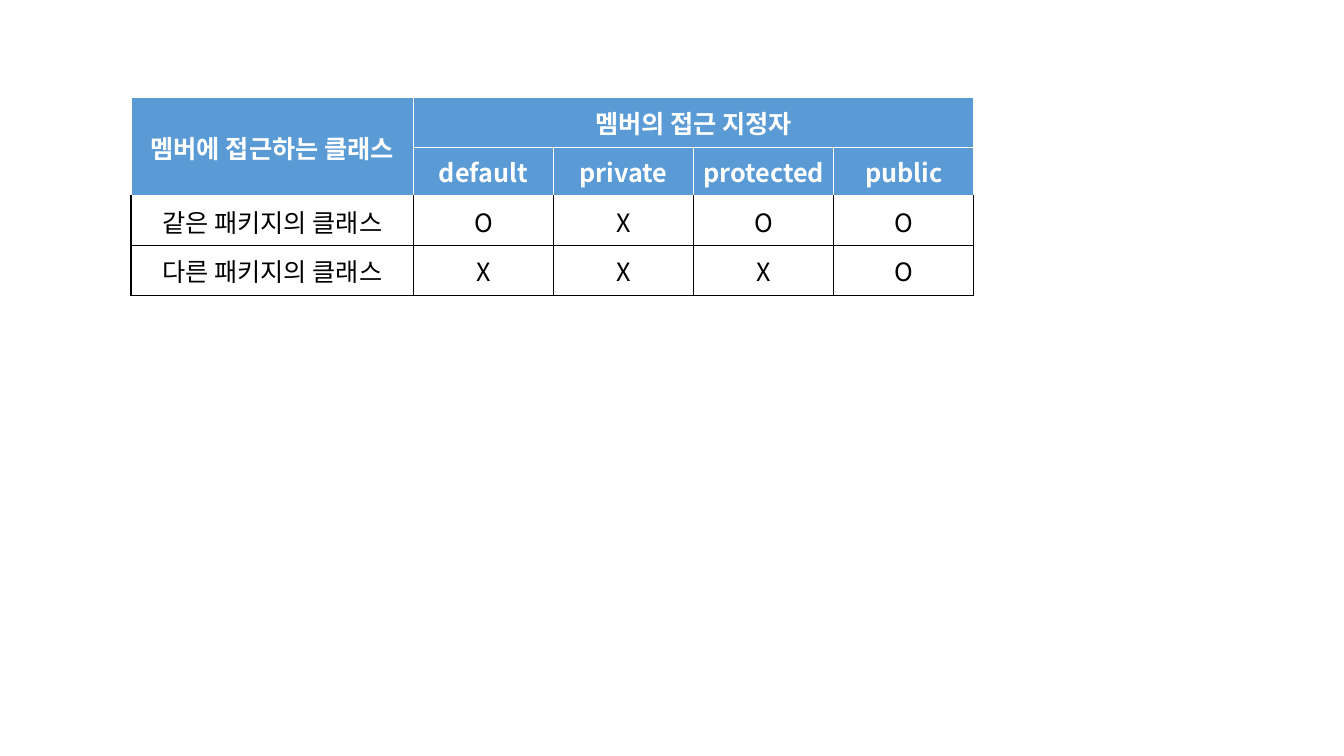
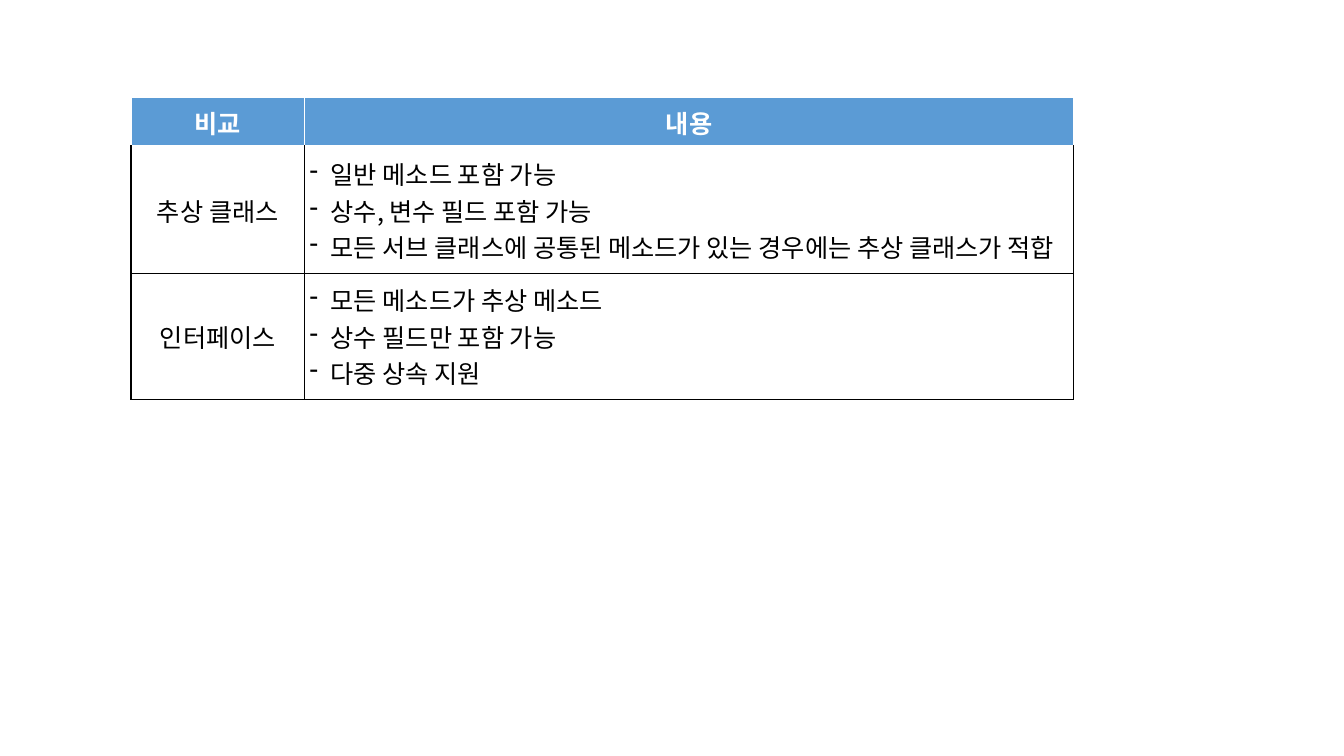
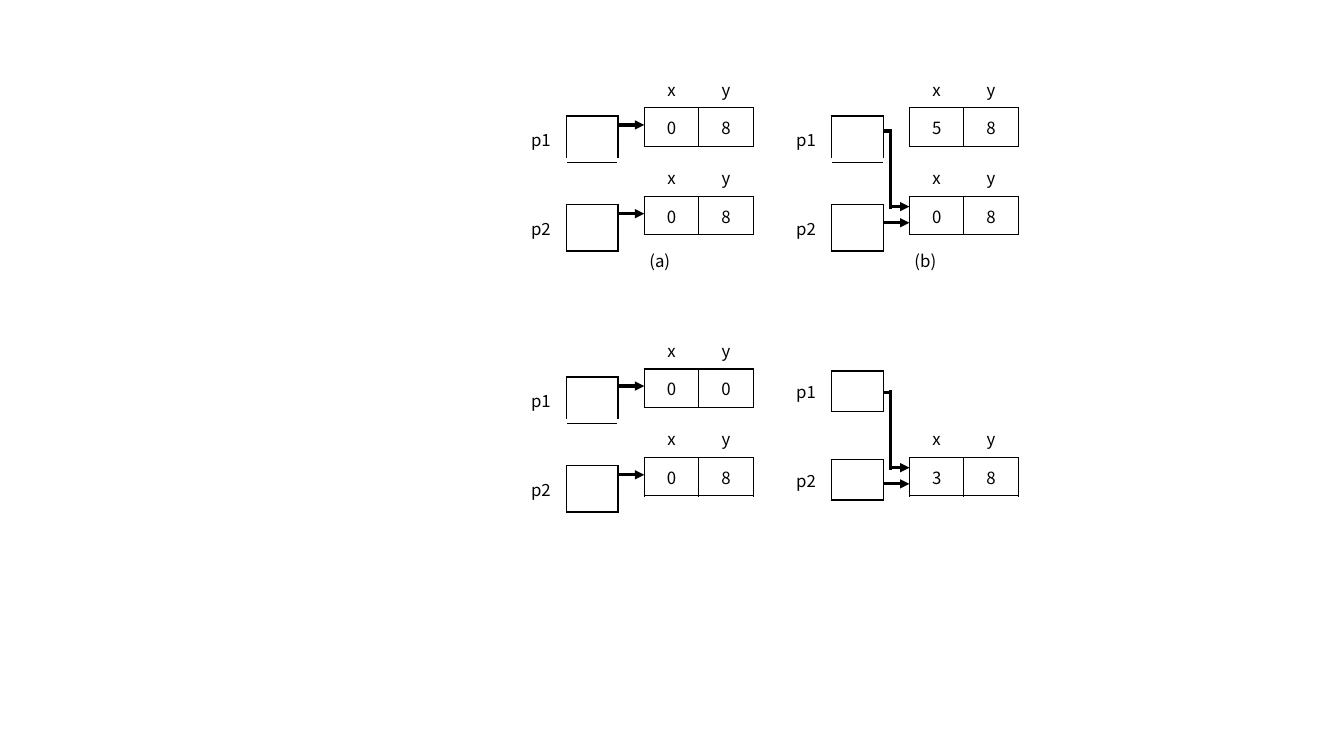
import pptx
import pptx.dml.color
import pptx.enum.shapes
import pptx.enum.text
import pptx.oxml.ns
import pptx.util
from lxml import etree

RGB = pptx.dml.color.RGBColor
BLACK = RGB(0x00, 0x00, 0x00)
WHITE = RGB(0xFF, 0xFF, 0xFF)
BLUE = RGB(0x5B, 0x9B, 0xD5)
FONT = "Noto Sans CJK KR"
CENTER = pptx.enum.text.PP_ALIGN.CENTER
LEFT = pptx.enum.text.PP_ALIGN.LEFT
MIDDLE = pptx.enum.text.MSO_ANCHOR.MIDDLE
qn = pptx.oxml.ns.qn


def px(n):
    """Length in EMU at 100 px to the inch."""
    return pptx.util.Emu(n * 9144)


class Deck:
    def __init__(self):
        self.prs = pptx.Presentation()
        self.prs.slide_width, self.prs.slide_height = px(1333), px(750)

    def new_slide(self):
        self.s = self.prs.slides.add_slide(self.prs.slide_layouts[6])

    def style(self, p, size, color=BLACK, bold=False, align=CENTER):
        p.alignment = align
        p.font.size = pptx.util.Pt(size)
        p.font.bold = bold
        p.font.color.rgb = color
        p.font.name = FONT
        etree.SubElement(p._p.pPr.find(qn("a:defRPr")), qn("a:ea"), typeface=FONT)

    def bullet(self, p):
        pPr = p._p.get_or_add_pPr()
        pPr.set("marL", str(px(26)))
        pPr.set("indent", str(-px(21)))
        pPr.insert(0, etree.Element(qn("a:buChar"), char="-"))

    def border(self, cell, **sides):
        """Draw borders; each side L, R, T or B is given as (colour, points)."""
        tcPr = cell._tc.get_or_add_tcPr()
        for side in "LRTB":
            if side in sides:
                color, width = sides[side]
                ln = etree.SubElement(tcPr, qn("a:ln" + side), w=str(pptx.util.Pt(width)))
                fill = etree.SubElement(ln, qn("a:solidFill"))
                etree.SubElement(fill, qn("a:srgbClr"), val=str(color))

    def box(self, cell, color=BLACK, **other):
        self.border(cell, **{**dict.fromkeys("LRTB", (color, 1)), **other})

    def table(self, x, y, cols, rows):
        t = self.s.shapes.add_table(len(rows), len(cols), px(x), px(y),
                                    px(sum(cols)), px(sum(rows))).table
        t.horz_banding = False
        for col, w in zip(t.columns, cols):
            col.width = px(w)
        for row, h in zip(t.rows, rows):
            row.height = px(h)
        for cell in t.iter_cells():
            cell.margin_left = cell.margin_right = 0
            cell.margin_top = cell.margin_bottom = 0
            cell.vertical_anchor = MIDDLE
        return t

    def text_table(self, cols, rows, texts, heads=1):
        """Table with blue head rows; a list as a cell's text becomes bullets."""
        t = self.table(130, 97, cols, rows)
        for i, line in enumerate(texts):
            for j, text in enumerate(line):
                cell, head = t.cell(i, j), i < heads
                listed = isinstance(text, list)
                cell.text = "\n".join(text) if listed else text
                for p in cell.text_frame.paragraphs:
                    self.style(p, 18, WHITE if head else BLACK, head,
                               LEFT if listed else CENTER)
                    if listed:
                        self.bullet(p)
                if head:
                    self.box(cell, WHITE)
                elif i == heads:
                    self.box(cell, T=(WHITE, 3))
                else:
                    self.box(cell)
                cell.fill.solid()
                cell.fill.fore_color.rgb = BLUE if head else WHITE
        return t

    def diagram_table(self, x, y, cols, row, texts, boxed):
        """Two rows without fill; boxed lists the framed columns of the second."""
        t = self.table(x, y, cols, [row, row])
        t.first_row = False
        for i, line in enumerate(texts):
            for j, text in enumerate(line):
                cell = t.cell(i, j)
                cell.text = text
                self.style(cell.text_frame.paragraphs[0], 12)
                if j in boxed:
                    if i:
                        self.box(cell)
                    else:
                        self.border(cell, B=(BLACK, 1))
                elif i:
                    self.border(cell, R=(BLACK, 1))
                cell.fill.background()

    def point(self, x, y, values):
        self.diagram_table(x, y, [54, 54], 38, ["xy", values], (0, 1))

    def pointer(self, x, y, name, row):
        self.diagram_table(x, y, [51, 51], row, [("", ""), (name, "")], (1,))

    def line(self, x1, y1, x2, y2, arrow=False):
        c = self.s.shapes.add_connector(pptx.enum.shapes.MSO_CONNECTOR.STRAIGHT,
                                        px(x1), px(y1), px(x2), px(y2))
        c.line.color.rgb = BLACK
        c.line.width = pptx.util.Pt(2.25)
        if arrow:
            etree.SubElement(c.line._get_or_add_ln(), qn("a:tailEnd"), type="triangle")
        etree.SubElement(c._element.spPr, qn("a:effectLst"))

    def label(self, x, y, text):
        tf = self.s.shapes.add_textbox(px(x), px(y), px(32), px(29)).text_frame
        tf.margin_left = tf.margin_right = tf.margin_top = tf.margin_bottom = px(5)
        tf.word_wrap = False
        tf.auto_size = pptx.enum.text.MSO_AUTO_SIZE.SHAPE_TO_FIT_TEXT
        tf.text = text
        self.style(tf.paragraphs[0], 12, align=LEFT)

    def references(self, x, y, first, second, row=46, shared=False):
        """p1 and p2 with their points; shared makes both refer to the second."""
        for name, values, top in (("p1", first, y), ("p2", second, y + 88)):
            if values:
                self.point(x + 128, top, values)
            self.pointer(x, top, name, row)
            if not shared:
                self.line(x + 102, top + 55, x + 128, top + 55, arrow=True)
        if shared:
            self.line(x + 102, y + 152, x + 128, y + 152, arrow=True)
            self.line(x + 102, y + 61, x + 109, y + 61)
            self.line(x + 109, y + 59, x + 109, y + 138)
            self.line(x + 109, y + 136, x + 128, y + 136, arrow=True)


def main():
    d = Deck()

    d.new_slide()
    t = d.text_table([280, 139, 139, 139, 139], [49] * 4, [
        ["멤버에 접근하는 클래스", "멤버의 접근 지정자", "", "", ""],
        ["", "default", "private", "protected", "public"],
        ["같은 패키지의 클래스", "O", "X", "O", "O"],
        ["다른 패키지의 클래스", "X", "X", "X", "O"],
    ], heads=2)
    t.cell(0, 0).merge(t.cell(1, 0))
    t.cell(0, 1).merge(t.cell(0, 4))

    d.new_slide()
    d.text_table([172, 763], [49, 125, 125], [
        ["비교", "내용"],
        ["추상 클래스", ["일반 메소드 포함 가능", "상수, 변수 필드 포함 가능",
                    "모든 서브 클래스에 공통된 메소드가 있는 경우에는 추상 클래스가 적합"]],
        ["인터페이스", ["모든 메소드가 추상 메소드", "상수 필드만 포함 가능", "다중 상속 지원"]],
    ])

    d.new_slide()
    left, right, upper, lower = 511, 774, 69, 328
    d.references(left, upper, "08", "08")
    d.references(right, upper, "58", "08", shared=True)
    d.references(left, lower, "00", "08")
    d.references(right, lower, None, "38", row=40, shared=True)
    for x, text in ((left, "(a)"), (right, "(b)")):
        d.label(x + 128, 244, text)

    d.prs.save("out.pptx")


if __name__ == "__main__":
    main()
